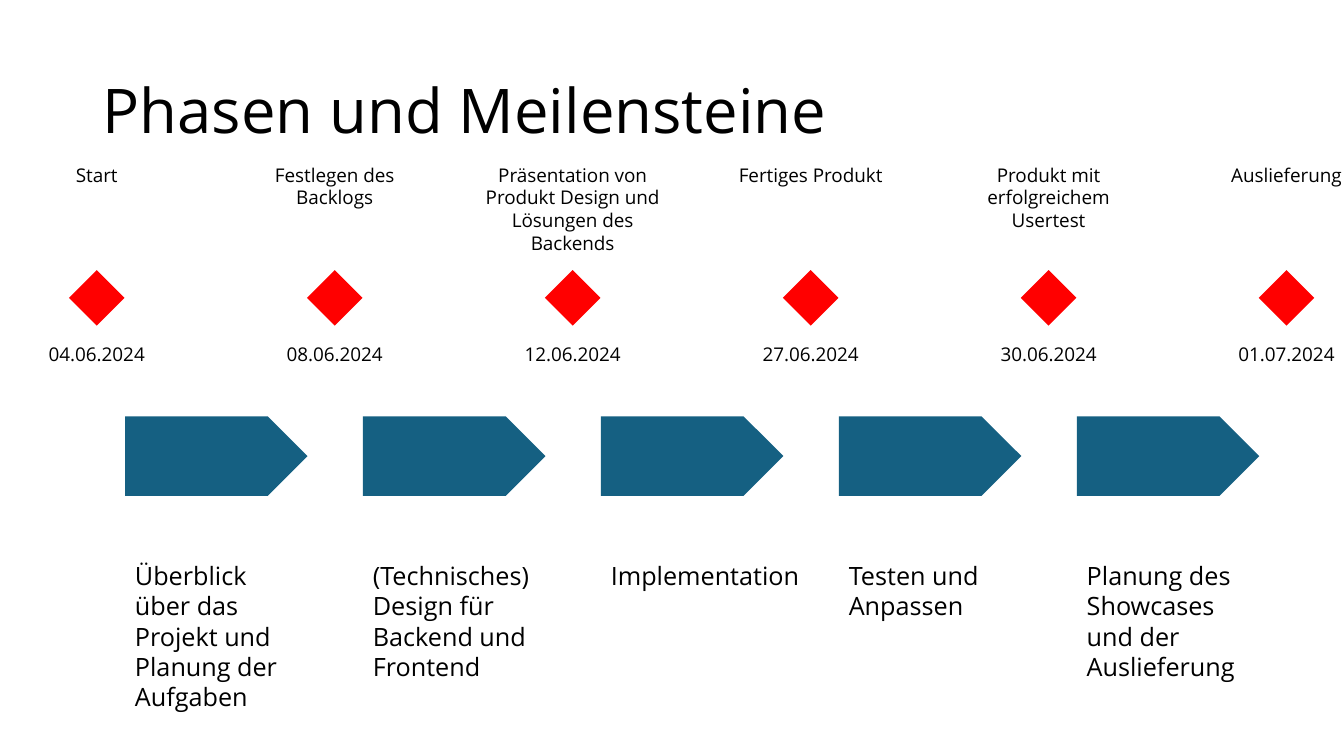
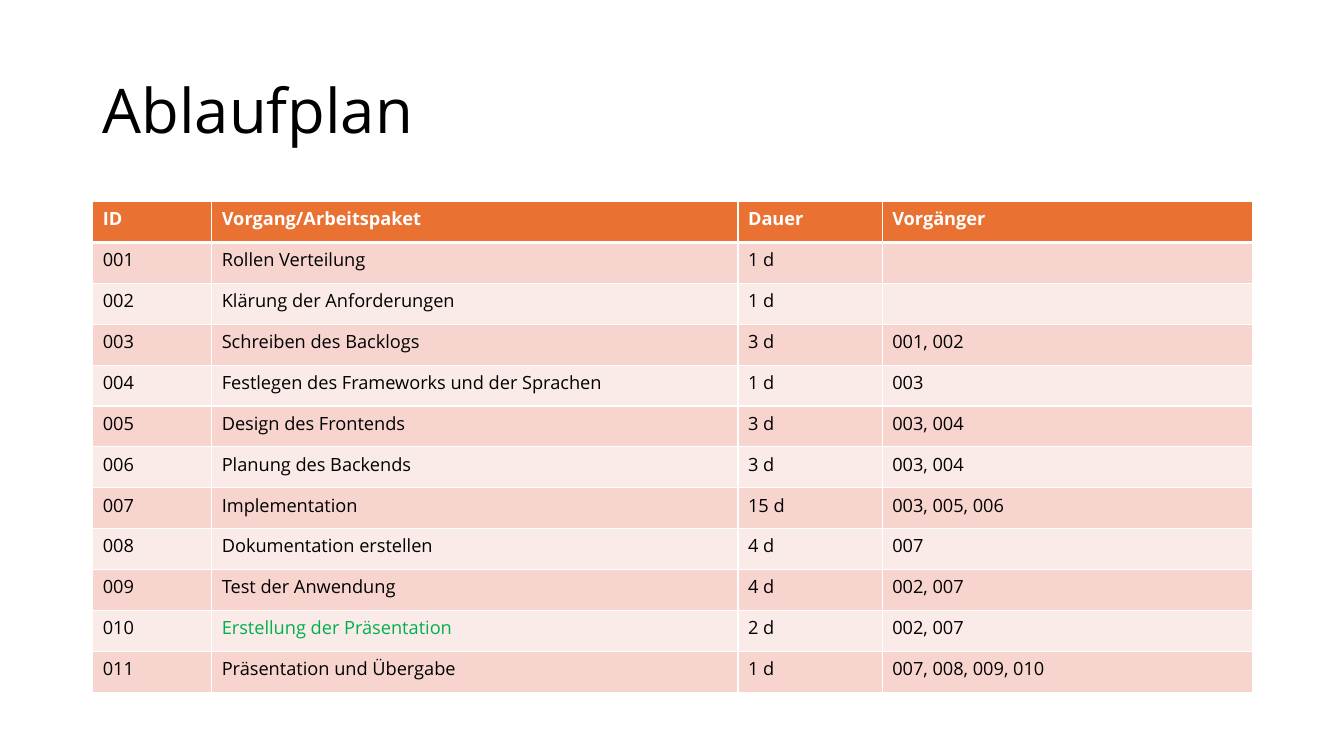
"""Builds two slides: project phases with milestones, and the schedule table."""
from lxml import etree
from pptx import Presentation
from pptx.dml.color import RGBColor
from pptx.enum import shapes, text
from pptx.oxml import ns
from pptx.util import Inches, Pt

FONT = "Open Sans"
BLACK, WHITE, RED, BLUE = "000000", "FFFFFF", "FF0000", "156082"
GREEN, HEAD, BANDS = "00B050", "E97132", ("FBEBE8", "F7D5CE")
STEP = 2.36


def paint(fill, tone):
    fill.solid()
    fill.fore_color.rgb = RGBColor.from_string(tone)


def write(frame, words, size=13.5, tone=BLACK, bold=False, align="LEFT", anchor="TOP", line=1.0):
    frame.word_wrap = True
    frame.vertical_anchor = text.MSO_ANCHOR[anchor]
    para = frame.paragraphs[0]
    para.alignment = text.PP_ALIGN[align]
    para.line_spacing = line
    run = para.add_run()
    run.text = words
    run.font.name, run.font.size, run.font.bold = FONT, Pt(size), bold
    run.font.color.rgb = RGBColor.from_string(tone)


deck = Presentation()
deck.slide_width, deck.slide_height = Inches(13.33), Inches(7.5)
pages = []
for title in ("Phasen und Meilensteine", "Ablaufplan"):
    page = deck.slides.add_slide(deck.slide_layouts[6])
    box = page.shapes.add_textbox(Inches(0.92), Inches(0.4), Inches(11.5), Inches(1.45))
    write(box.text_frame, title, size=44, anchor="MIDDLE", line=0.9)
    pages.append(page)
plan, chart = pages

stones = [
    ("Start", "04.06.2024"),
    ("Festlegen des Backlogs", "08.06.2024"),
    ("Präsentation von Produkt Design und Lösungen des Backends", "12.06.2024"),
    ("Fertiges Produkt", "27.06.2024"),
    ("Produkt mit erfolgreichem Usertest", "30.06.2024"),
    ("Auslieferung", "01.07.2024"),
]
for i, (name, date) in enumerate(stones):
    mid = 0.96 + i * STEP
    mark = plan.shapes.add_shape(
        shapes.MSO_SHAPE.RECTANGLE, Inches(mid - 0.195), Inches(2.76), Inches(0.39), Inches(0.39))
    mark.rotation = 45
    mark.shadow.inherit = False
    paint(mark.fill, RED)
    mark.line.fill.background()
    for words, top, high in ((name, 1.57, 1.06), (date, 3.35, 0.56)):
        box = plan.shapes.add_textbox(
            Inches(mid - 0.985), Inches(top), Inches(1.97), Inches(high))
        write(box.text_frame, words, align="CENTER")

phases = [
    ("Überblick über das Projekt und Planung der Aufgaben", 1.81),
    ("(Technisches) Design für Backend und Frontend", 1.81),
    ("Implementation", 2.09),
    ("Testen und Anpassen", 1.81),
    ("Planung des Showcases und der Auslieferung", 1.81),
]
for i, (words, wide) in enumerate(phases):
    left = Inches(1.24 + i * STEP)
    arrow = plan.shapes.add_shape(
        shapes.MSO_SHAPE.PENTAGON, left, Inches(4.13), Inches(1.81), Inches(0.79))
    arrow.shadow.inherit = False
    paint(arrow.fill, BLUE)
    arrow.line.fill.background()
    box = plan.shapes.add_textbox(left, Inches(5.51), Inches(wide), Inches(1.31))
    write(box.text_frame, words, size=18)

rows = [
    ("ID", "Vorgang/Arbeitspaket", "Dauer", "Vorgänger"),
    ("001", "Rollen Verteilung", "1 d", ""),
    ("002", "Klärung der Anforderungen", "1 d", ""),
    ("003", "Schreiben des Backlogs", "3 d", "001, 002"),
    ("004", "Festlegen des Frameworks und der Sprachen", "1 d", "003"),
    ("005", "Design des Frontends", "3 d", "003, 004"),
    ("006", "Planung des Backends", "3 d", "003, 004"),
    ("007", "Implementation", "15 d", "003, 005, 006"),
    ("008", "Dokumentation erstellen", "4 d", "007"),
    ("009", "Test der Anwendung", "4 d", "002, 007"),
    ("010", "Erstellung der Präsentation", "2 d", "002, 007"),
    ("011", "Präsentation und Übergabe", "1 d", "007, 008, 009, 010"),
]
grid = chart.shapes.add_table(
    len(rows), 4, Inches(0.92), Inches(2), Inches(11.5), Inches(4.87)).table
for col, wide in zip(grid.columns, (1.18, 5.22, 1.43, 3.67)):
    col.width = Inches(wide)
for r, row in enumerate(rows):
    for c, words in enumerate(row):
        cell = grid.cell(r, c)
        props = cell._tc.get_or_add_tcPr()
        for side in "LRTB":
            thick = 3 if (r, side) in ((0, "B"), (1, "T")) else 1
            edge = etree.SubElement(props, ns.qn("a:ln" + side), w=str(Pt(thick)))
            solid = etree.SubElement(edge, ns.qn("a:solidFill"))
            etree.SubElement(solid, ns.qn("a:srgbClr"), val=WHITE)
        paint(cell.fill, BANDS[r % 2] if r else HEAD)
        tone = WHITE if r == 0 else GREEN if (r, c) == (10, 1) else BLACK
        write(cell.text_frame, words, size=13, tone=tone, bold=r == 0)

deck.save("out.pptx")
